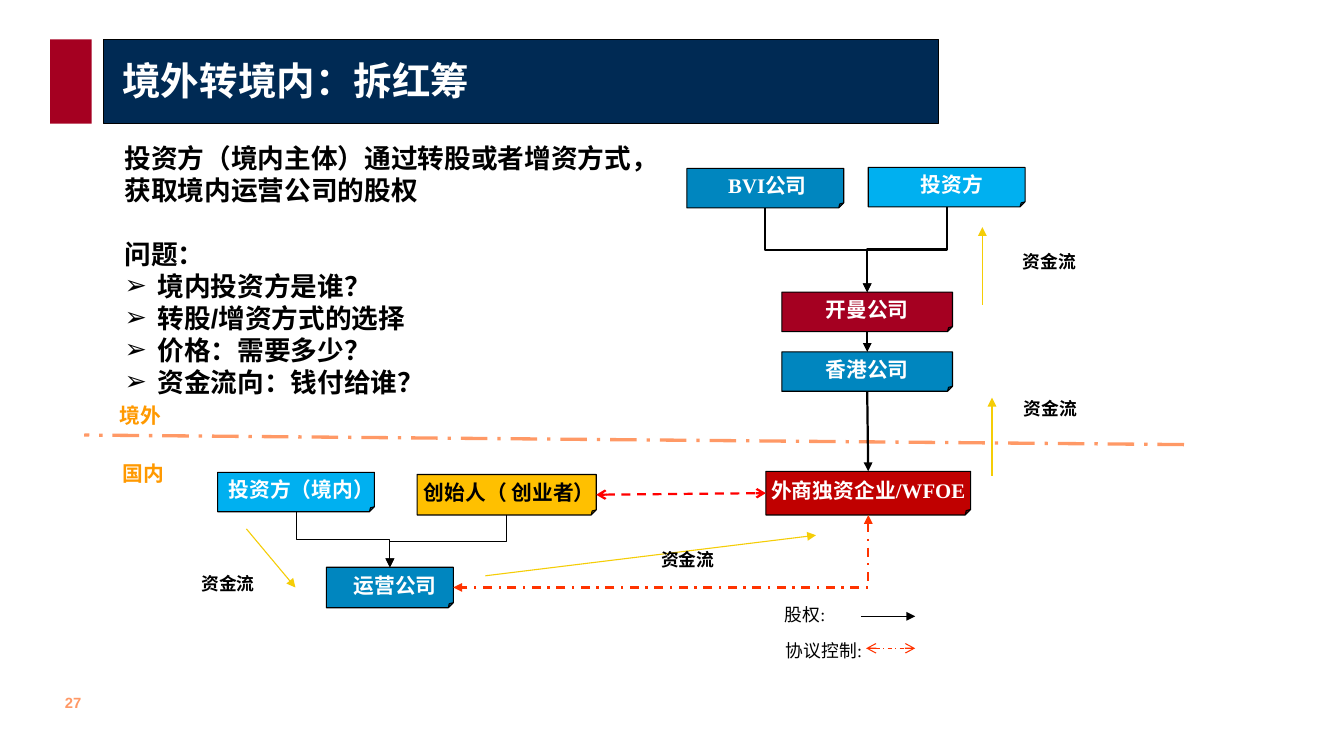
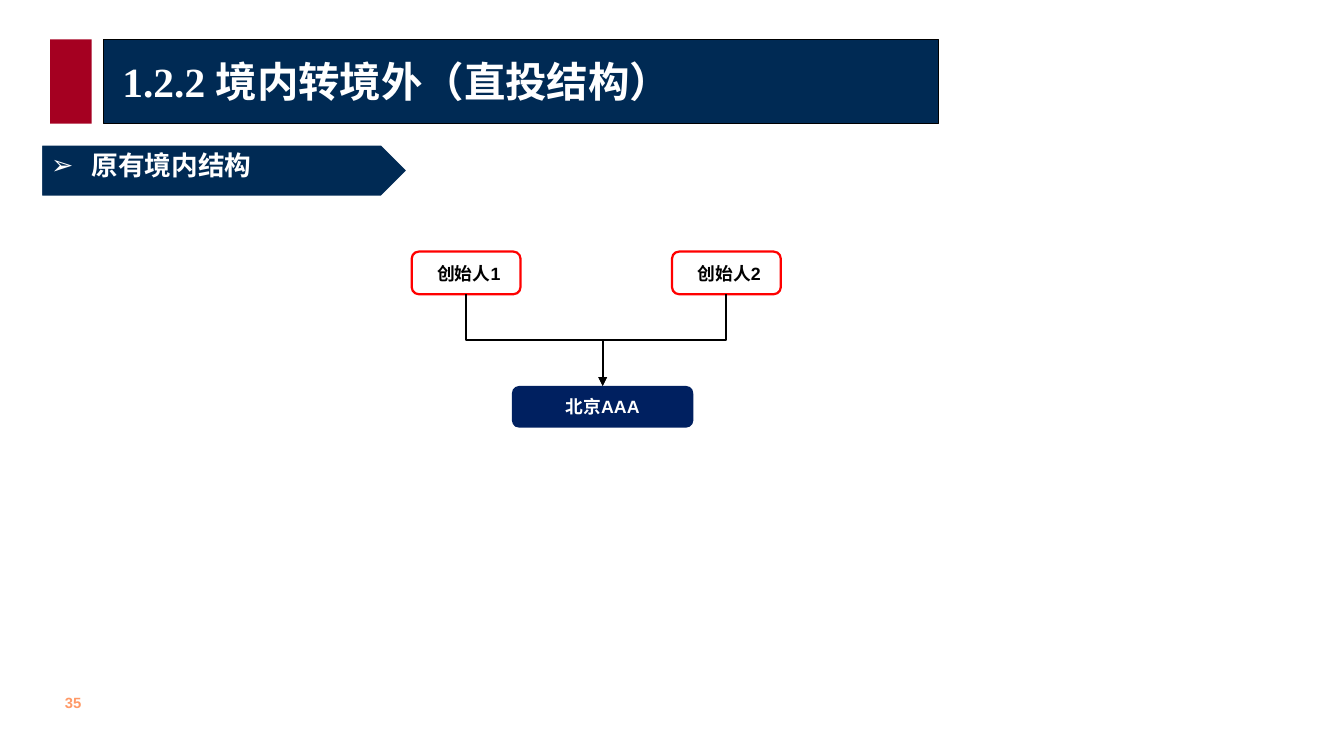
from pptx import Presentation
from pptx.dml.color import RGBColor
from pptx.enum.dml import MSO_LINE
from pptx.enum.shapes import MSO_CONNECTOR, MSO_SHAPE
from pptx.enum.text import MSO_ANCHOR, PP_ALIGN
from pptx.oxml.ns import qn
from pptx.util import Inches, Pt
from lxml.etree import SubElement

NAVY, CRIMSON, BLUE, SKY = "002A54", "A50021", "0086BF", "00B0F0"
BLACK, WHITE, RED, CONTROL = "000000", "FFFFFF", "FF0000", "FF3300"
PEACH, ORANGE, GOLD = "FF9966", "FF9900", "F5CD06"
ARIAL, TIMES, CJK = "Arial", "Times New Roman", "Noto Sans CJK SC"
TOP, LEFT, BOTTOM, RIGHT = range(4)
MARGIN = 0.1

COMPANIES = {
    "bvi": ("BVI公司", (6.44, 1.58, 1.47, 0.37), BLUE, WHITE, TIMES, 0.04),
    "investor": ("投资方", (8.14, 1.57, 1.47, 0.37), SKY, WHITE, TIMES, 0.1),
    "cayman": ("开曼公司", (7.33, 2.74, 1.6, 0.37), CRIMSON, WHITE, TIMES, 0),
    "hk": ("香港公司", (7.33, 3.3, 1.6, 0.37), BLUE, WHITE, TIMES, 0),
    "wfoe": ("外商独资企业/WFOE", (7.18, 4.42, 1.92, 0.41), "C00000", WHITE, TIMES, 0),
    "founder": ("创始人（ 创业者）", (3.91, 4.45, 1.68, 0.38), "FFC000", BLACK, CJK, 0.05),
    "onshore": ("投资方（境内）", (2.04, 4.43, 1.47, 0.37), SKY, WHITE, TIMES, 0.1),
    "operating": ("运营公司", (3.06, 5.32, 1.19, 0.38), BLUE, WHITE, TIMES, 0.1),
}
HOLDINGS = [
    ("bvi", "cayman", 1.5), ("investor", "cayman", 1.5),
    ("founder", "operating", 0.75), ("onshore", "operating", 0.75),
]
CHAIN = [("cayman", "hk"), ("hk", "wfoe")]
FUND_FLOWS = [
    ((2.31, 4.96, 2.77, 5.51), (1.79, 5.32)),
    ((4.55, 5.4, 7.65, 5.02), (6.1, 5.1)),
    ((9.3, 4.46, 9.3, 3.73), (9.5, 3.68)),
    ((9.21, 2.86, 9.21, 2.13), (9.49, 2.3)),
]
REGIONS = [("境外", 1.02, 3.73), ("国内", 1.05, 4.27)]
INTRO = "投资方（境内主体）通过转股或者增资方式，获取境内运营公司的股权"
QUESTIONS = ["境内投资方是谁？", "转股/增资方式的选择", "价格：需要多少？", "资金流向：钱付给谁？"]
PEOPLE = [("创始人1", 3.86), ("创始人2", 6.3)]


def rgb(color):
    return RGBColor.from_string(color)


def write(p, text, size, color, font, bold=True):
    r = p.add_run()
    r.text = text
    r.font.size, r.font.bold, r.font.name = Pt(size), bold, font
    r.font.color.rgb = rgb(color)
    SubElement(r._r.get_or_add_rPr(), qn("a:ea")).set("typeface", CJK)


def bullet(p, indent):
    pPr = p._p.get_or_add_pPr()
    pPr.set("marL", str(Inches(indent)))
    pPr.set("indent", str(-Inches(indent)))
    SubElement(pPr, qn("a:buFont")).set("typeface", ARIAL)
    SubElement(pPr, qn("a:buChar")).set("char", "➢")


def text_box(s, x, y, w, h, wrap=True):
    tf = s.shapes.add_textbox(*map(Inches, (x, y, w, h))).text_frame
    tf.word_wrap = wrap
    return tf


def line_of_text(p, text, size, color, font, bold=True):
    p.line_spacing = Pt(size * 1.2)
    write(p, text, size, color, font, bold)


def label(s, text, x, y, size, color, font, w=0.97, bold=True):
    tf = text_box(s, x, y, w, 0.3, False)
    line_of_text(tf.paragraphs[0], text, size, color, font, bold)


def shape(s, kind, at, fill, line=None, width=0.75):
    sp = s.shapes.add_shape(kind, *map(Inches, at))
    sp.shadow.inherit = False
    sp.fill.solid()
    sp.fill.fore_color.rgb = rgb(fill)
    if line:
        sp.line.color.rgb = rgb(line)
        sp.line.width = Pt(width)
    else:
        sp.line.fill.background()
    return sp


def fold(sp, share):
    geom = sp._element.spPr.find(qn("a:prstGeom"))
    gd = SubElement(geom.get_or_add_avLst(), qn("a:gd"))
    gd.set("name", "adj")
    gd.set("fmla", f"val {round(share * 100000)}")


def caption(sp, text, size, color, font, shift=0, wrap=False):
    tf = sp.text_frame
    tf.word_wrap = wrap
    tf.vertical_anchor = MSO_ANCHOR.MIDDLE
    tf.margin_left = Inches(MARGIN + shift)
    p = tf.paragraphs[0]
    p.alignment = PP_ALIGN.CENTER
    write(p, text, size, color, font)


def style(c, color, width, dash=None, head=None, tail="triangle"):
    c.line.color.rgb = rgb(color)
    c.line.width = Pt(width)
    if dash:
        c.line.dash_style = dash
    ln = c.line._get_or_add_ln()
    for tag, kind in (("a:headEnd", head), ("a:tailEnd", tail)):
        if kind:
            SubElement(ln, qn(tag)).set("type", kind)
    SubElement(c._element.spPr, qn("a:effectLst"))


def straight(s, points, color, width, **kw):
    c = s.shapes.add_connector(MSO_CONNECTOR.STRAIGHT, *map(Inches, points))
    style(c, color, width, **kw)


def link(s, kind, a, a_side, b, b_side):
    c = s.shapes.add_connector(kind, 0, 0, 0, 0)
    c.begin_connect(a, a_side)
    c.end_connect(b, b_side)
    return c


def elbow_down(s, a, b, color, width, side=TOP, preset="bentConnector3", **kw):
    c = link(s, MSO_CONNECTOR.ELBOW, a, BOTTOM, b, side)
    x1, y1, x2, y2 = c.begin_x, c.begin_y, c.end_x, c.end_y
    w, h = y2 - y1, abs(x2 - x1)
    c.left, c.top = (x1 + x2 - w) // 2, (y1 + y2 - h) // 2
    c.width, c.height = w, h
    spPr = c._element.spPr
    rightward = x2 > x1
    xfrm = spPr.find(qn("a:xfrm"))
    xfrm.set("rot", str((270 if rightward else 90) * 60000))
    xfrm.set("flipH", "1" if rightward else "0")
    xfrm.set("flipV", "0")
    spPr.find(qn("a:prstGeom")).set("prst", preset)
    style(c, color, width, **kw)


def new_slide(prs, title, size, font, number):
    s = prs.slides.add_slide(prs.slide_layouts[6])
    shape(s, MSO_SHAPE.RECTANGLE, (0.97, 0.37, 7.83, 0.79), NAVY, BLACK, 1)
    shape(s, MSO_SHAPE.RECTANGLE, (0.47, 0.37, 0.39, 0.79), CRIMSON)
    tf = text_box(s, 0.51, 6.46, 0.37, 0.27, False)
    write(tf.paragraphs[0], number, 10, PEACH, ARIAL)
    tf = text_box(s, 1.05, 0.38, 7.67, 0.75)
    tf.vertical_anchor = MSO_ANCHOR.MIDDLE
    write(tf.paragraphs[0], title, size, WHITE, font)
    return s


def unwinding_slide(prs):
    s = new_slide(prs, "境外转境内：拆红筹", 26, CJK, "27")
    straight(s, (11.1, 4.17, 0.79, 4.08), PEACH, 2.25,
             dash=MSO_LINE.LONG_DASH_DOT, tail=None)
    for text, x, y in REGIONS:
        label(s, text, x, y, 14, ORANGE, CJK, 1.29)

    box = {}
    for key, (text, at, fill, color, font, shift) in COMPANIES.items():
        box[key] = shape(s, MSO_SHAPE.FOLDED_CORNER, at, fill, BLACK)
        fold(box[key], 0.125)
        caption(box[key], text, 14, color, font, shift)
    for a, b, width in HOLDINGS:
        elbow_down(s, box[a], box[b], BLACK, width)
    for a, b in CHAIN:
        style(link(s, MSO_CONNECTOR.STRAIGHT, box[a], BOTTOM, box[b], TOP), BLACK, 1.5)
    elbow_down(s, box["wfoe"], box["operating"], CONTROL, 1.5, RIGHT, "bentConnector2",
               dash=MSO_LINE.DASH_DOT, head="triangle")
    c = link(s, MSO_CONNECTOR.STRAIGHT, box["founder"], RIGHT, box["wfoe"], LEFT)
    style(c, RED, 1.5, MSO_LINE.DASH, "arrow", "arrow")

    for points, (x, y) in FUND_FLOWS:
        straight(s, points, GOLD, 0.75)
        label(s, "资金流", x, y, 12, BLACK, ARIAL)

    label(s, "股权:", 7.26, 5.61, 12, BLACK, TIMES, 0.9, False)
    straight(s, (8.07, 5.78, 8.58, 5.78), BLACK, 0.75)
    label(s, "协议控制:", 7.27, 5.95, 12, BLACK, TIMES, 0.9, False)
    straight(s, (8.12, 6.08, 8.58, 6.08), CONTROL, 0.75,
             dash=MSO_LINE.DASH_DOT, head="arrow", tail="arrow")

    tf = text_box(s, 1.07, 1.28, 5.13, 2.5)
    line_of_text(tf.paragraphs[0], INTRO, 18, BLACK, ARIAL)
    p = tf.add_paragraph()
    p.space_before = Pt(21.6)
    line_of_text(p, "问题：", 18, BLACK, ARIAL)
    for question in QUESTIONS:
        p = tf.add_paragraph()
        line_of_text(p, question, 18, BLACK, ARIAL)
        bullet(p, 0.31)


def direct_slide(prs):
    s = new_slide(prs, "1.2.2 境内转境外（直投结构）", 28, TIMES, "35")
    shape(s, MSO_SHAPE.PENTAGON, (0.38, 1.35, 3.45, 0.5), NAVY, WHITE, 2.25)
    p = text_box(s, 0.38, 1.35, 3.08, 0.4).paragraphs[0]
    line_of_text(p, "原有境内结构", 18, WHITE, TIMES)
    bullet(p, 0.38)

    company = shape(s, MSO_SHAPE.ROUNDED_RECTANGLE, (4.8, 3.62, 1.7, 0.39), "002060")
    caption(company, "北京AAA", 12, WHITE, ARIAL, wrap=True)
    for name, x in PEOPLE:
        person = shape(s, MSO_SHAPE.ROUNDED_RECTANGLE, (x, 2.36, 1.02, 0.4), WHITE, RED, 1.5)
        caption(person, name, 12, BLACK, ARIAL, 0.05, True)
        elbow_down(s, person, company, BLACK, 1.5)


def main():
    prs = Presentation()
    prs.slide_width, prs.slide_height = Inches(12.6), Inches(7.09)
    unwinding_slide(prs)
    direct_slide(prs)
    prs.save("out.pptx")


if __name__ == "__main__":
    main()
